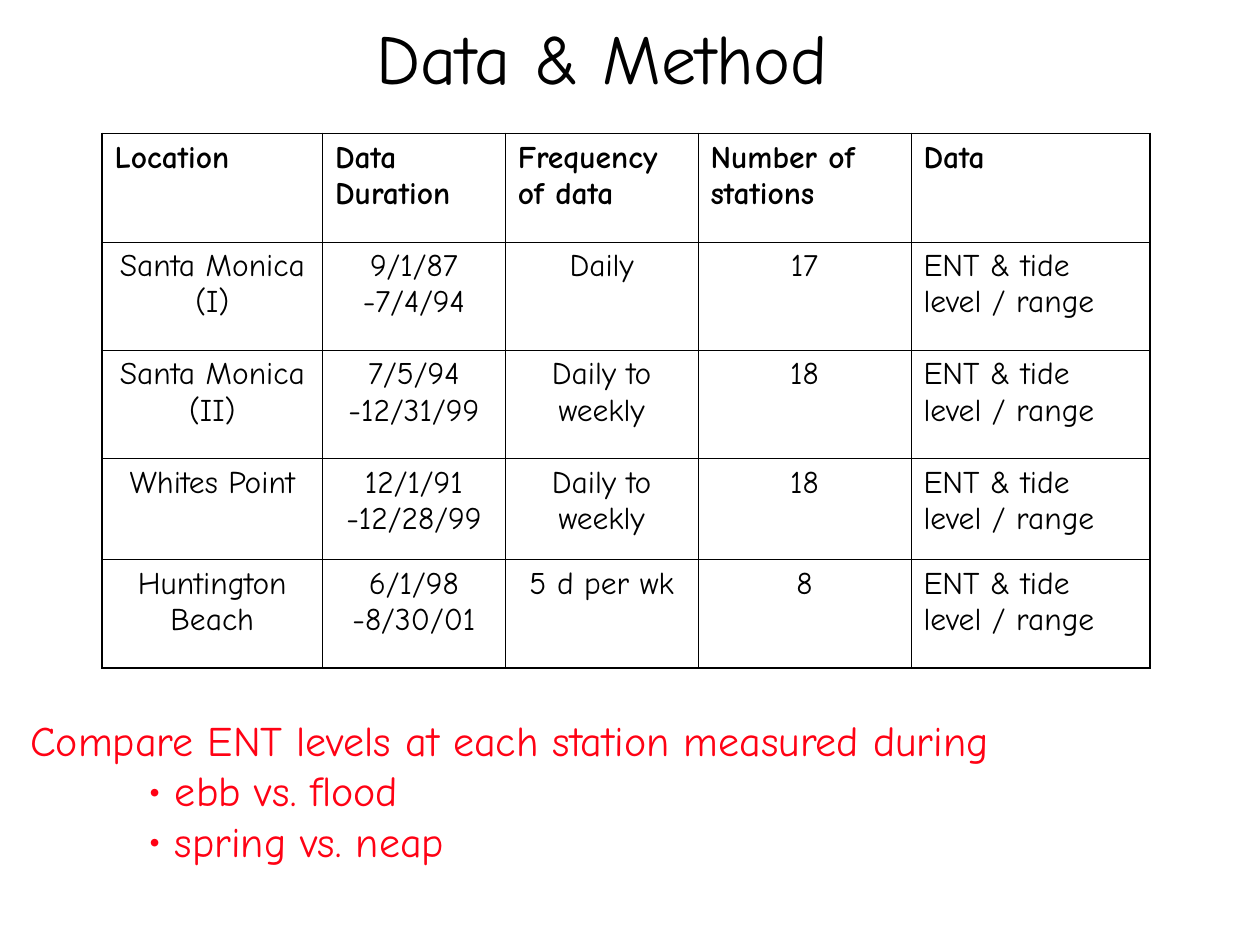
from dataclasses import dataclass

from lxml import etree
from pptx import Presentation
from pptx import util as u
from pptx.dml.color import RGBColor
from pptx.enum import text
from pptx.oxml.ns import qn


@dataclass(frozen=True)
class Theme:
    font: str = "Comic Neue"
    ink: str = "000000"
    accent: str = "FF0214"
    title: float = 40
    body: float = 24
    cell: float = 18
    gap: float = 4.5
    inner: float = 0.45
    outer: float = 1.08


class Deck:
    COLS, ROWS = 100, 75

    def __init__(self, theme, width=10, height=7.5):
        self.theme = theme
        self.prs = Presentation()
        self.prs.slide_width, self.prs.slide_height = u.Inches(width), u.Inches(height)
        self.s = self.prs.slides.add_slide(self.prs.slide_layouts[6])

    def x(self, cols):
        return round(self.prs.slide_width * cols / self.COLS)

    def y(self, rows):
        return round(self.prs.slide_height * rows / self.ROWS)

    def box(self, left, top, width, height):
        return self.x(left), self.y(top), self.x(width), self.y(height)

    def add_words(self, p, words, size, color, bold=False, **layout):
        r = p.add_run()
        r.text = words
        r.font.color.rgb = RGBColor.from_string(color)
        font = {"name": self.theme.font, "size": u.Pt(size), "bold": bold}
        for target, values in ((r.font, font), (p, layout)):
            for name, value in values.items():
                setattr(target, name, value)

    def text_box(self, place, anchor):
        tf = self.s.shapes.add_textbox(*self.box(*place)).text_frame
        tf.word_wrap = True
        tf.vertical_anchor = anchor
        return tf

    def title(self, place, words):
        tf = self.text_box(place, text.MSO_ANCHOR.MIDDLE)
        self.add_words(tf.paragraphs[0], words, self.theme.title, self.theme.ink,
                       alignment=text.PP_ALIGN.CENTER)

    def bullet_list(self, place, lead, items, margin, hang):
        tf = self.text_box(place, text.MSO_ANCHOR.TOP)
        self.add_words(tf.paragraphs[0], lead, self.theme.body, self.theme.accent)
        for item in items:
            p = tf.add_paragraph()
            self.add_words(p, item, self.theme.body, self.theme.accent)
            pPr = p._p.get_or_add_pPr()
            pPr.set("marL", str(self.x(margin)))
            pPr.set("indent", str(-self.x(hang)))
            etree.SubElement(pPr, qn("a:buFont"), typeface=self.theme.font)
            etree.SubElement(pPr, qn("a:buChar"), char="•")

    def border(self, cell, edges):
        tcPr = cell._tc.get_or_add_tcPr()
        for tag, is_outer in edges.items():
            width = self.theme.outer if is_outer else self.theme.inner
            ln = etree.SubElement(tcPr, qn(f"a:{tag}"), w=str(u.Pt(width)))
            fill = etree.SubElement(ln, qn("a:solidFill"))
            etree.SubElement(fill, qn("a:srgbClr"), val=self.theme.ink)

    def table(self, left, top, widths, heights, rows):
        place = self.box(left, top, sum(widths), sum(heights))
        tbl = self.s.shapes.add_table(len(rows), len(widths), *place).table
        tbl.first_row = tbl.horz_banding = False
        for col, width in zip(tbl.columns, widths):
            col.width = self.x(width)
        for row, height in zip(tbl.rows, heights):
            row.height = self.y(height)
        last_row, last_col = len(rows) - 1, len(widths) - 1
        for i, row in enumerate(rows):
            for j, words in enumerate(row):
                cell = tbl.cell(i, j)
                self.border(cell, {"lnL": j == 0, "lnR": j == last_col,
                                   "lnT": i == 0, "lnB": i == last_row})
                cell.fill.background()
                centred = i > 0 and j < last_col
                align = text.PP_ALIGN.CENTER if centred else text.PP_ALIGN.LEFT
                self.add_words(cell.text_frame.paragraphs[0], words, self.theme.cell,
                               self.theme.ink, bold=i == 0, alignment=align,
                               space_before=u.Pt(self.theme.gap))


def main():
    deck = Deck(Theme())
    deck.title((5.3, 0, 85, 8.9), "Data & Method")
    header = ["Location", "Data Duration", "Frequency of data", "Number of stations", "Data"]
    surveys = [
        ("Santa Monica (I)", "9/1/87 -7/4/94", "Daily", "17"),
        ("Santa Monica (II)", "7/5/94 -12/31/99", "Daily to weekly", "18"),
        ("Whites Point", "12/1/91 -12/28/99", "Daily to weekly", "18"),
        ("Huntington Beach", "6/1/98 -8/30/01", "5 d per wk", "8"),
    ]
    rows = [header] + [[*survey, "ENT & tide level / range"] for survey in surveys]
    deck.table(8.1, 10.6, [17.5, 14.5, 15.3, 16.9, 19], [8.6, 8.6, 8.6, 8, 8.6], rows)
    deck.bullet_list((1.4, 56.2, 97.1, 13),
                     "Compare ENT levels at each station measured during",
                     ["ebb vs. flood", "spring vs. neap"], margin=11.5, hang=2.1)
    deck.prs.save("out.pptx")


if __name__ == "__main__":
    main()
